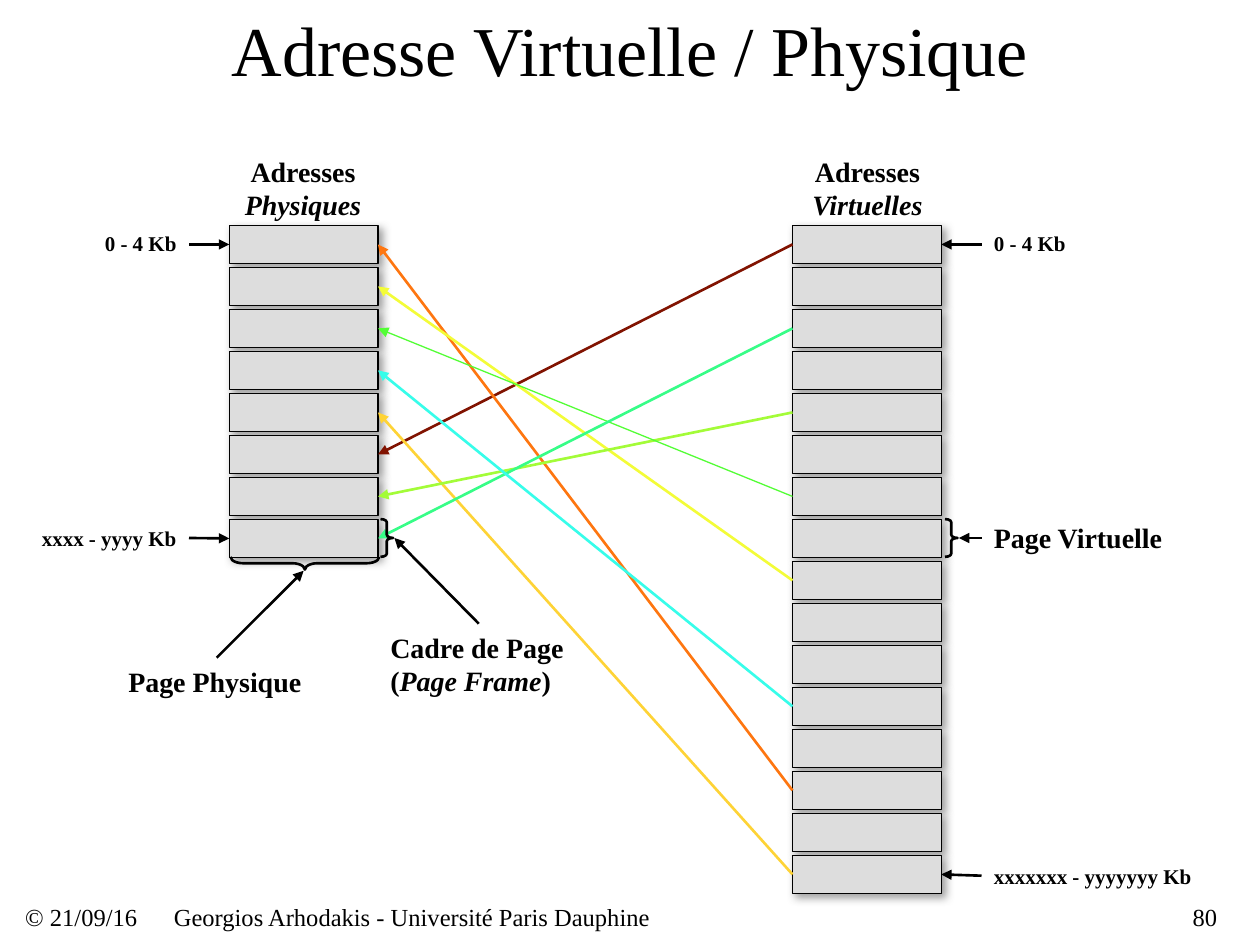
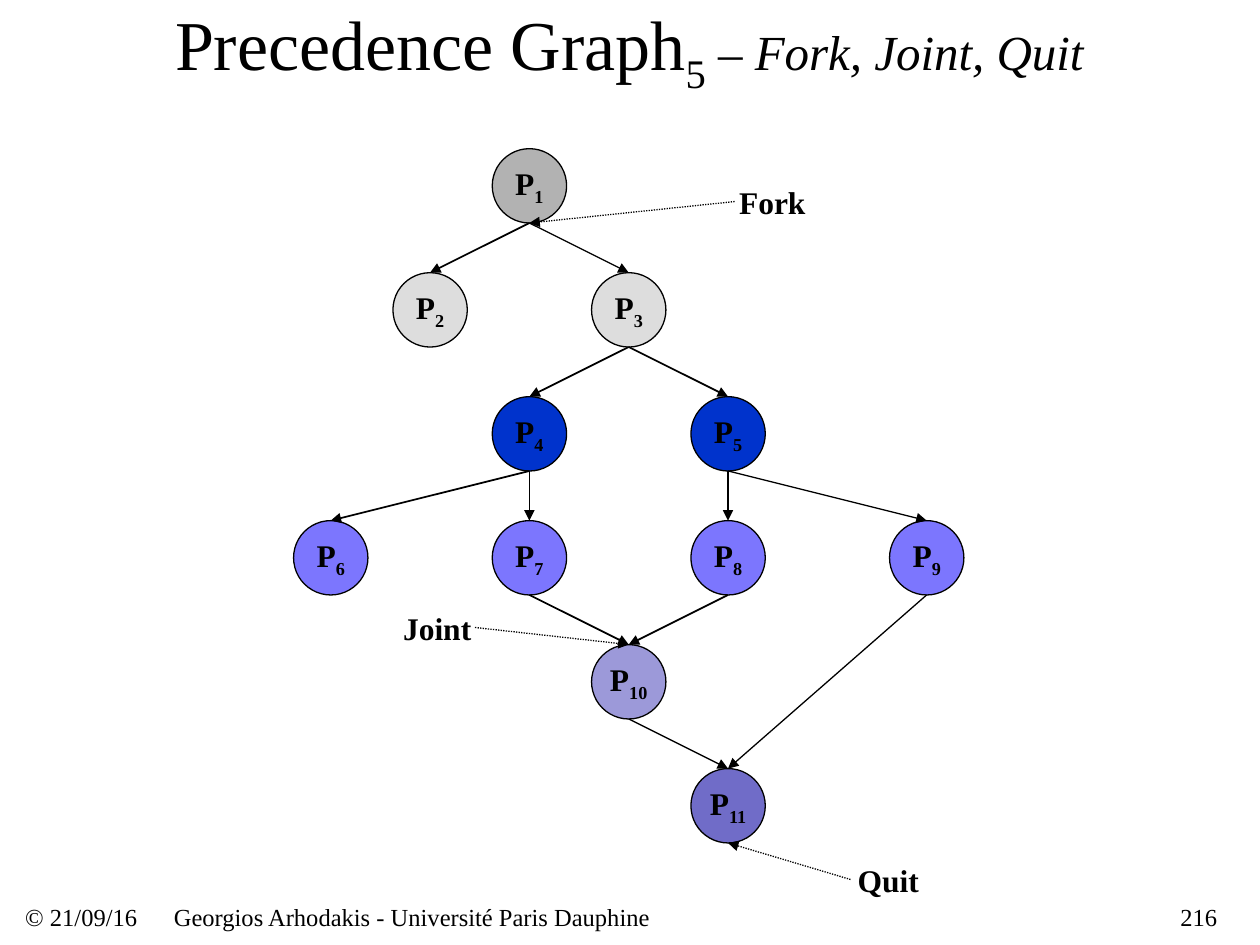
from lxml.etree import SubElement as Sub
from pptx import Presentation
from pptx.dml.color import RGBColor as RGB
from pptx.enum.dml import MSO_LINE
from pptx.enum.shapes import MSO_CONNECTOR, MSO_SHAPE as Kind
from pptx.enum.text import MSO_ANCHOR, PP_ALIGN as Al
from pptx.oxml.ns import qn
from pptx.util import Inches, Pt

HUES = {
    "ink": "000000", "box": "DDDDDD", "shade": "808080", "root": "B2B2B2",
    "blue": "0033CC", "lilac": "7C76FE", "joint": "9C99D9", "quit": "706CC8",
    "brown": "811301", "orange": "FE7610", "gold": "FED336", "yellow": "F3FC38",
    "lime": "A3FC38", "green": "53FE36", "mint": "37FD87", "aqua": "37FDEA",
}
TINT = {name: RGB.from_string(code) for name, code in HUES.items()}
BOLD = {"size": Pt(16), "bold": True}
SMALL = {"size": Pt(12), "bold": True}
NODE = {"size": Pt(18), "bold": True}
FOOT = {"size": Pt(14)}
HEAD = {"size": Pt(40)}
SLANT = {"italic": True}
LOW = {"baseline": "-25000"}


def write(shape, runs, look, align=Al.LEFT, pad=True, wrap=True):
    frame = shape.text_frame
    for key, val in {"word_wrap": wrap, "vertical_anchor": MSO_ANCHOR.MIDDLE}.items():
        setattr(frame, key, val)
    for side, gap in zip(("left", "right", "top", "bottom"), (0.1, 0.1, 0.05, 0.05)):
        setattr(frame, "margin_" + side, Inches(gap if pad else 0))
    para = frame.paragraphs[0]
    para.alignment = align
    for text, extra in runs:
        run = para.add_run()
        run.text = text
        run.font.name = "Times New Roman"
        run.font.color.rgb = TINT["ink"]
        for key, val in {**look, **extra}.items():
            if key == "baseline":
                run.font._element.set(key, val)
            else:
                setattr(run.font, key, val)


def link(page, start, end, hue="ink", width=1.5, dash=None):
    ends = [Inches(v) for v in (*start, *end)]
    con = page.shapes.add_connector(MSO_CONNECTOR.STRAIGHT, *ends)
    con.line.color.rgb = TINT[hue]
    con.line.width = Pt(width)
    if dash:
        con.line.dash_style = dash
    Sub(con.line._get_or_add_ln(), qn("a:tailEnd"), type="triangle")
    Sub(con._element.spPr, qn("a:effectLst"))
    return con


deck = Presentation()
deck.slide_width = Inches(10)
deck.slide_height = Inches(7.5)

heads = [
    (80, 0.75, 8.5, [("Adresse Virtuelle / Physique", {})]),
    (216, 0.33, 9.33, [("Precedence Graph", {}), ("5", LOW), (" – ", {"size": Pt(28)}),
                       ("Fork, Joint, Quit", {"size": Pt(28), **SLANT})]),
]
pages = []
for num, left, wide, runs in heads:
    page = deck.slides.add_slide(deck.slide_layouts[5])
    pages.append(page)
    title = page.shapes.title
    spot = {"left": left, "top": 0, "width": wide, "height": 0.77}
    for key, val in spot.items():
        setattr(title, key, Inches(val))
    write(title, runs, HEAD, Al.CENTER)
    feet = [
        (0.2, 1.08, "© 21/09/16", Al.LEFT),
        (1.38, 6.83, "Georgios Arhodakis - Université Paris Dauphine", Al.LEFT),
        (8.66, 1, str(num), Al.RIGHT),
    ]
    for x, w, text, align in feet:
        foot = page.shapes.add_textbox(Inches(x), Inches(7.16), Inches(w), Inches(0.23))
        write(foot, [(text, {})], FOOT, align, pad=False)

memory, graph = pages

stacks = []
for left, count in ((1.82, 8), (6.29, 16)):
    stack = []
    for row in range(count):
        cell = memory.shapes.add_shape(
            Kind.FLOWCHART_PROCESS, Inches(left), Inches(1.79 + row / 3), Inches(1.18), Inches(0.3))
        cell.shadow.inherit = False
        cell.fill.solid()
        cell.fill.fore_color.rgb = TINT["box"]
        cell.line.color.rgb = TINT["ink"]
        cell.line.width = Pt(0.75)
        glow = Sub(cell._element.spPr.find(qn("a:effectLst")), qn("a:outerShdw"),
                   blurRad=str(Pt(5)), dist=str(Pt(3)), dir="2700000", algn="ctr", rotWithShape="0")
        tone = Sub(glow, qn("a:srgbClr"), val=HUES["shade"])
        Sub(tone, qn("a:alpha"), val="75000")
        stack.append(cell)
    stacks.append(stack)
phys, virt = stacks

labels = [
    (1.44, 1.17, 1.93, 0.64, [("Adresses ", {}), ("Physiques", SLANT)], BOLD, Al.CENTER),
    (5.92, 1.17, 1.93, 0.64, [("Adresses ", {}), ("Virtuelles", SLANT)], BOLD, Al.CENTER),
    (7.79, 4.08, 1.67, 0.37, [("Page Virtuelle", {})], BOLD, Al.LEFT),
    (3, 4.95, 1.6, 0.64, [("Cadre de Page (", {}), ("Page Frame", SLANT), (")", {})], BOLD, Al.LEFT),
    (0.92, 5.22, 1.6, 0.37, [("Page Physique", {})], BOLD, Al.LEFT),
    (0.6, 1.78, 0.9, 0.3, [("0 - 4 Kb", {})], SMALL, Al.RIGHT),
    (0.2, 4.12, 1.3, 0.3, [("xxxx - yyyy Kb", {})], SMALL, Al.RIGHT),
    (7.79, 1.78, 0.9, 0.3, [("0 - 4 Kb", {})], SMALL, Al.LEFT),
    (7.79, 6.8, 1.9, 0.3, [("xxxxxxx - yyyyyyy Kb", {})], SMALL, Al.LEFT),
]
for x, y, w, h, runs, look, align in labels:
    label = memory.shapes.add_textbox(Inches(x), Inches(y), Inches(w), Inches(h))
    write(label, runs, look, align)

marks = [
    (1.5, 1.94, phys[0], 1), (1.5, 4.27, phys[7], 1),
    (7.79, 1.94, virt[0], 3), (7.79, 6.95, virt[15], 3),
]
for x, y, cell, side in marks:
    link(memory, (x, y), (x, y)).end_connect(cell, side)

for start, end in (((3.8, 4.95), (3.13, 4.27)), ((1.72, 5.22), (2.41, 4.53)), ((7.79, 4.27), (7.61, 4.27))):
    link(memory, start, end)

maps = [
    (0, 5, "brown", 1.5), (13, 0, "orange", 1.5), (15, 4, "gold", 1.5), (8, 1, "yellow", 1.5),
    (4, 6, "lime", 1.5), (6, 2, "green", 0.75), (2, 7, "mint", 1.5), (11, 3, "aqua", 1.5),
]
for src, dst, hue, width in maps:
    con = link(memory, (6.29, 2), (3, 2), hue, width)
    con.begin_connect(virt[src], 1)
    con.end_connect(phys[dst], 3)

braces = [
    (Kind.LEFT_BRACE, 2.37, 3.88, 1.18, 270, 0.994),
    (Kind.RIGHT_BRACE, 7.5, 4.12, 0.3, 0, 0.249),
    (Kind.RIGHT_BRACE, 3.02, 4.12, 0.3, 0, 0.249),
]
for kind, x, y, h, turn, bend in braces:
    brace = memory.shapes.add_shape(kind, Inches(x), Inches(y), Inches(0.1), Inches(h))
    brace.shadow.inherit = False
    brace.rotation = turn
    brace.adjustments[0] = bend
    brace.fill.background()
    brace.line.color.rgb = TINT["ink"]
    brace.line.width = Pt(1.5)

SIZE = 0.59
nodes = [
    (2, 0, "root"), (1, 1, "box"), (3, 1, "box"), (2, 2, "blue"), (4, 2, "blue"), (0, 3, "lilac"),
    (2, 3, "lilac"), (4, 3, "lilac"), (6, 3, "lilac"), (3, 4, "joint"), (4, 5, "quit"),
]
discs, tops, feet = {}, {}, {}
for num, (col, row, hue) in enumerate(nodes, 1):
    x, y = 2.33 + col * 4.73 / 6, 1.18 + row * 4.92 / 5
    disc = graph.shapes.add_shape(
        Kind.FLOWCHART_CONNECTOR, Inches(x), Inches(y), Inches(SIZE), Inches(SIZE))
    disc.shadow.inherit = False
    disc.fill.solid()
    disc.fill.fore_color.rgb = TINT[hue]
    disc.line.color.rgb = TINT["ink"]
    disc.line.width = Pt(0.75)
    write(disc, [("P", {}), (str(num), LOW)], NODE, Al.CENTER, pad=False, wrap=False)
    discs[num] = disc
    tops[num] = (x + SIZE / 2, y)
    feet[num] = (x + SIZE / 2, y + SIZE)

edges = [
    (1, 2, 1), (1, 3, 0.75), (3, 4, 1), (3, 5, 1), (4, 6, 1), (4, 7, 1), (5, 8, 1),
    (5, 9, 0.75), (7, 10, 1), (8, 10, 1), (9, 11, 0.75), (10, 11, 0.75),
]
for src, dst, width in edges:
    link(graph, feet[src], tops[dst], width=width).end_connect(discs[dst], 0)

notes = [
    ("Fork", 5.83, 1.45, 5.83, feet[1]),
    ("Joint", 3.17, 4.83, 3.77, tops[10]),
    ("Quit", 6.75, 6.83, 6.75, feet[11]),
]
for text, x, y, edge, goal in notes:
    note = graph.shapes.add_textbox(Inches(x), Inches(y), Inches(0.6), Inches(0.3))
    write(note, [(text, {})], NODE, Al.CENTER, pad=False)
    link(graph, (edge, y + 0.15), goal, width=0.75, dash=MSO_LINE.ROUND_DOT)

deck.save("out.pptx")
